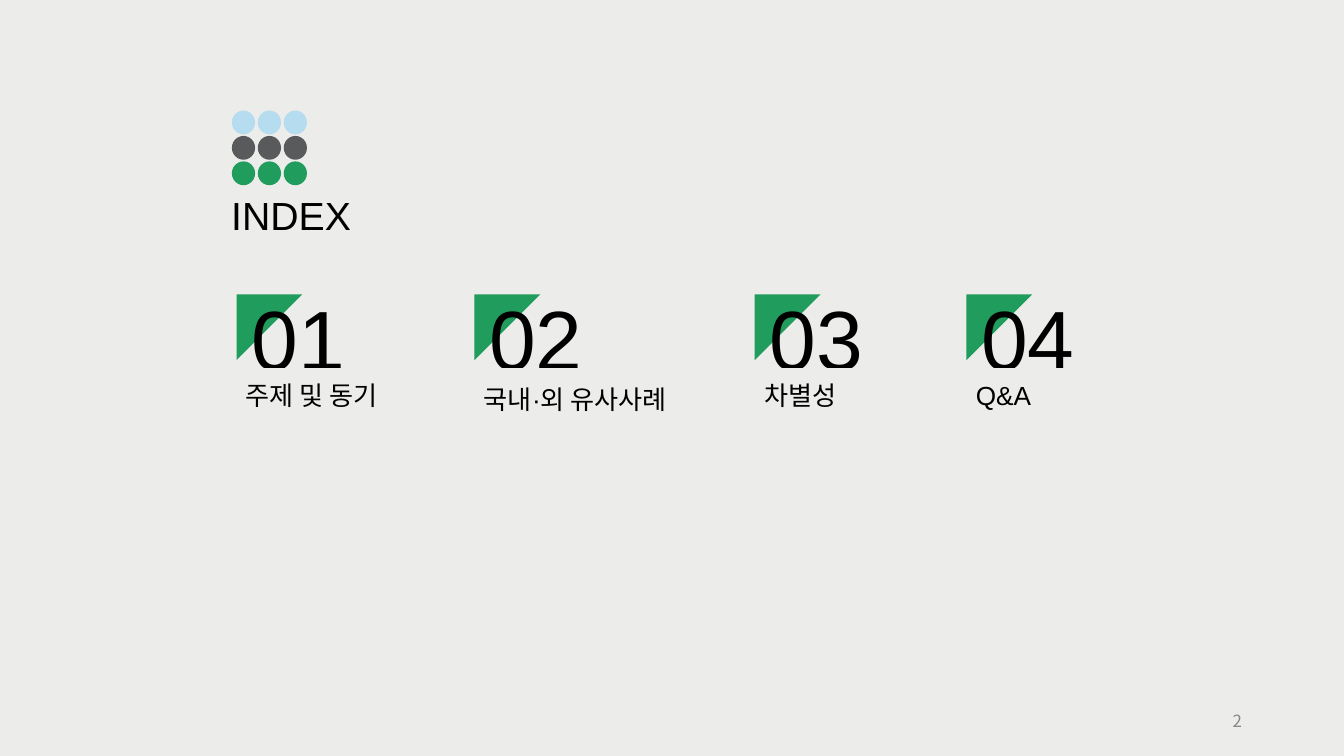
"""Build an index slide with four numbered sections on a grid of tenth-inch cells."""
from pptx import Presentation
from pptx import util as u
from pptx.dml.color import RGBColor
from pptx.enum import shapes, text

CELL = u.Inches(0.1)
PAPER, GREEN, GREY, BLUE = "ECECEA", "209C5D", "595A5C", "B5DCEF"


def add_shape(parent, kind, box, color):
    sp = parent.add_shape(kind, *[round(v * CELL) for v in box])
    sp.shadow.inherit = False
    sp.fill.solid()
    sp.fill.fore_color.rgb = RGBColor.from_string(color)
    sp.line.fill.background()
    return sp


def write(sp, box, words, size, color="000000", font="Arial",
          align=text.PP_ALIGN.LEFT, anchor=text.MSO_ANCHOR.TOP):
    sp.left, sp.top, sp.width, sp.height = [round(v * CELL) for v in box]
    tf = sp.text_frame
    tf.word_wrap, tf.auto_size = True, text.MSO_AUTO_SIZE.NONE
    tf.vertical_anchor = anchor
    tf.margin_left = tf.margin_right = u.Inches(0.07)
    tf.margin_top = tf.margin_bottom = u.Inches(0.04)
    p = tf.paragraphs[0]
    p.text, p.alignment = words, align
    p.font.size, p.font.name = u.Pt(size), font
    p.font.color.rgb = RGBColor.from_string(color)
    return p


prs = Presentation()
prs.slide_width, prs.slide_height = 100 * CELL, round(56.25 * CELL)
s = prs.slides.add_slide(prs.slide_layouts[5])
s.background.fill.solid()
s.background.fill.fore_color.rgb = RGBColor.from_string(PAPER)

p = write(s.shapes.title, (16.5, 13.8, 47.3, 4.3), "INDEX", 21)
p.line_spacing = 1.0

sections = [(17.6, 16.7, 3, 1.0, "주제 및 동기"),
            (35.3, 19.8, 5.5, 1.15, "국내·외 유사사례"),
            (56.15, 11.9, 3, 1.0, "차별성"),
            (71.9, 11.9, 3, 1.0, "Q&A")]
for number, (x, width, height, spacing, label) in enumerate(sections, 1):
    group = s.shapes.add_group_shape().shapes
    corner = add_shape(group, shapes.MSO_SHAPE.RIGHT_TRIANGLE,
                       (x, 21.9, 4.9, 4.9), GREEN)
    corner.rotation = 90
    write(group.add_textbox(0, 0, 0, 0), (x + 0.4, 20.9, 8.7, 8.3),
          f"{number:02}", 45)
    add_shape(group, shapes.MSO_SHAPE.RECTANGLE, (x + 0.3, 27.4, 7.8, 1.6), PAPER)
    p = write(s.shapes.add_textbox(0, 0, 0, 0), (x, 27.8, width, height), label, 14)
    p.line_spacing = spacing

dots = s.shapes.add_group_shape().shapes
for row, color in enumerate((BLUE, GREY, GREEN)):
    for col in range(3):
        add_shape(dots, shapes.MSO_SHAPE.OVAL,
                  (17.25 + 1.93 * col, 8.23 + 1.89 * row, 1.73, 1.77), color)

write(s.shapes.add_textbox(0, 0, 0, 0), (70.6, 52.1, 22.5, 3), "2", 9, "888888",
      "Noto Sans CJK KR", text.PP_ALIGN.RIGHT, text.MSO_ANCHOR.MIDDLE)

prs.save("out.pptx")
